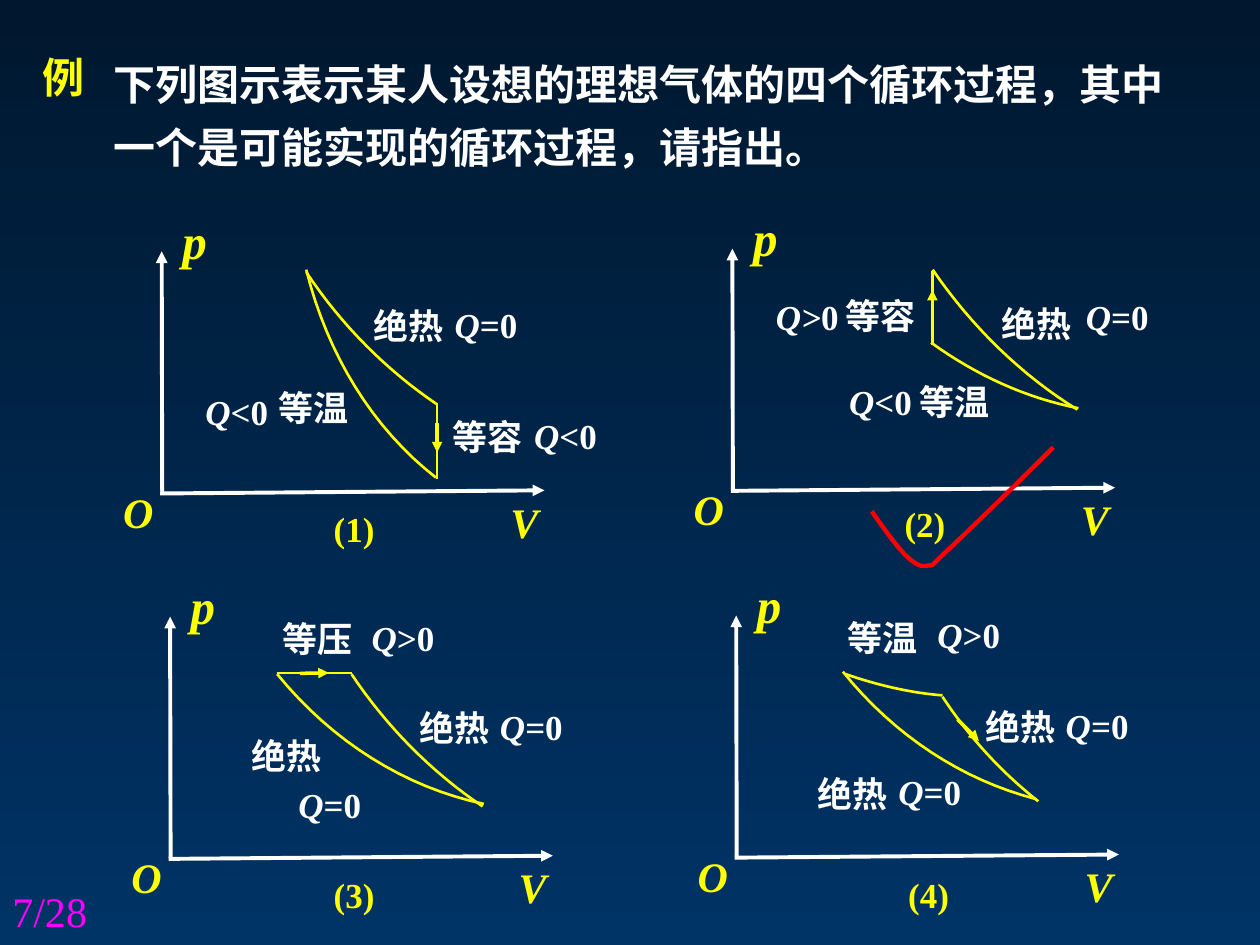
from lxml.etree import SubElement
from pptx import Presentation
from pptx.dml.color import RGBColor
from pptx.enum.shapes import MSO_CONNECTOR
from pptx.oxml.ns import qn
from pptx.util import Pt

WHITE, GOLD, RED, PINK = "FFFFFF", "FFFF00", "FF0000", "FF00FF"
SERIF = "Times New Roman"
STEPS = 16

# Each plot: origin, caption place, curves (four Bezier points each),
# straight side, direction arrow, and labels (x, y, italic part, plain part).
PLOTS = [
    dict(origin=(91.5, 282), caption=(183.6, 286.6),
         curves=[[(249.8, 231.1), (221, 211.7), (195.1, 185.8), (175, 155.5)],
                 [(249.1, 272.9), (213.1, 244.8), (187.2, 203), (175, 154.1)]],
         side=[(249.8, 231.1), (249.8, 273.6)],
         arrow=[(249.8, 241.9), (249.8, 258.5)],
         labels=[(206.6, 170.6, "", "绝热"), (251.3, 234, "", "等容"),
                 (151.9, 217.4, "", "等温"), (252.7, 169.9, "Q", "=0"),
                 (298.1, 233.3, "Q", "<0"), (110.2, 219.6, "Q", "<0")]),
    dict(origin=(417.6, 280.5), caption=(509.8, 283.7),
         curves=[[(615.6, 234), (583.9, 214.6), (555.1, 186.5), (533, 154.1)],
                 [(616.3, 233.3), (586.8, 227.5), (558, 214.6), (532.1, 195.8)]],
         side=[(532.8, 154.8), (532.8, 197.3)],
         arrow=[(532.8, 182.2), (532.8, 165.6)],
         labels=[(565.2, 169.2, "", "绝热"), (475.9, 164.9, "", "等容"),
                 (518.4, 213.8, "", "等温"), (613.4, 165.6, "Q", "=0"),
                 (436.3, 165.6, "Q>", "0"), (478.1, 213.8, "Q", "<0")]),
    dict(origin=(96.3, 490.8), caption=(183.6, 495.4),
         curves=[[(275.8, 460.8), (247, 441.4), (221, 415.4), (200.9, 385.2)],
                 [(276.5, 459.4), (231.8, 450), (190.1, 424.1), (158.4, 385.2)]],
         side=[(158.4, 384.5), (200.9, 384.5)],
         arrow=[(171.4, 384.8), (187.9, 384.5)],
         labels=[(232.6, 400.3, "", "绝热"), (154.1, 349.2, "", "等压"),
                 (278.6, 399.6, "Q", "=0"), (205.2, 348.5, "Q", ">0"),
                 (136.8, 416.2, "", "绝热"), (163.4, 444.2, "Q", "=0")]),
    dict(origin=(419.8, 490.1), caption=(511.9, 495.4),
         curves=[[(593.3, 457.9), (572.4, 441.4), (553.7, 421.2), (538.6, 398.2)],
                 [(591.8, 456.5), (550.1, 445.7), (511.2, 420.5), (481.7, 383.8)],
                 [(538.6, 397.4), (520.6, 396), (501.8, 391.7), (483.1, 385.2)]],
         side=None,
         arrow=[(547.2, 411.1), (559.4, 423.4)],
         labels=[(555.8, 399.6, "", "绝热"), (477.4, 348.5, "", "等温"),
                 (601.9, 398.9, "Q", "=0"), (528.5, 347, "Q", ">0"),
                 (460.1, 437.8, "", "绝热"), (506.2, 437, "Q", "=0")]),
]
TICK = [(498.2, 292.3), (505.4, 302.4), (512.6, 312.5), (517.7, 317.5),
        (523.4, 322.6), (525.6, 324), (529.9, 323.3),
        (534.2, 322.6), (530.6, 324.7), (542.2, 313.9),
        (554.4, 302.4), (578.2, 279.4), (601.9, 255.6)]


def color(code):
    return RGBColor.from_string(code)


def text(slide, box, runs, size, tint, bold=True, font=SERIF, wrap=True, gap=None):
    """Add a text box; runs are (words, italic) pairs."""
    frame = slide.shapes.add_textbox(*map(Pt, box)).text_frame
    frame.word_wrap = wrap
    para = frame.paragraphs[0]
    if gap:
        para.line_spacing = gap
    for words, slant in runs:
        run = para.add_run()
        run.text = words
        run.font.name = font
        run.font.size = Pt(size)
        run.font.bold = bold
        run.font.italic = slant
        run.font.color.rgb = color(tint)


def line(slide, start, end, tint, width, head=False):
    item = slide.shapes.add_connector(
        MSO_CONNECTOR.STRAIGHT, *map(Pt, (*start, *end)))
    item.line.color.rgb = color(tint)
    item.line.width = Pt(width)
    if head:
        SubElement(item.get_or_add_ln(), qn("a:tailEnd"), type="triangle")
    SubElement(item.element.spPr, qn("a:effectLst"))


def bezier(a, b, c, d, t):
    s = 1 - t
    return [Pt(s**3 * p + 3 * s * s * t * q + 3 * s * t * t * r + t**3 * e)
            for p, q, r, e in zip(a, b, c, d)]


def curve(slide, knots, tint, width):
    """Draw an open chain of cubic Bezier arcs that share end points."""
    pen = slide.shapes.build_freeform(*map(Pt, knots[0]))
    for i in range(0, len(knots) - 1, 3):
        pen.add_line_segments(
            [bezier(*knots[i:i + 4], k / STEPS) for k in range(1, STEPS + 1)],
            close=False)
    item = pen.convert_to_shape()
    item.shadow.inherit = False
    item.fill.background()
    item.line.color.rgb = color(tint)
    item.line.width = Pt(width)


def axes(slide, x, y):
    line(slide, (x, y), (x + 219.6, y - 1.8), WHITE, 2.25, True)
    line(slide, (x + 1.2, y - 0.7), (x + 0.9, y - 138.4), WHITE, 2.25, True)
    for name, dx, dy, wide, high, size in [
            ("V", 193, -1.8, 30, 36, 24),
            ("p", 5.6, -165.4, 29, 41, 28),
            ("O", -28.3, -7.6, 32, 36, 24)]:
        text(slide, (x + dx, y + dy, wide, high), [(name, True)],
             size, GOLD, wrap=False)


def plot(slide, index, data):
    axes(slide, *data["origin"])
    for knots in data["curves"]:
        curve(slide, knots, GOLD, 1.5)
    if data["side"]:
        line(slide, *data["side"], GOLD, 1.5)
    line(slide, *data["arrow"], GOLD, 2, True)
    for x, y, slant, plain in data["labels"]:
        runs = [(slant, True)] if slant else []
        text(slide, (x, y, 90, 31), runs + [(plain, False)], 20, WHITE)
    text(slide, (*data["caption"], 86.4, 31), [(f"({index})", False)], 20, GOLD)


def backdrop(slide):
    fill = slide.background.fill
    fill.gradient()
    fill.gradient_angle = 270
    for stop, code in zip(fill.gradient_stops, ("00182F", "003366")):
        stop.color.rgb = color(code)


def main():
    deck = Presentation()
    deck.slide_width, deck.slide_height = Pt(720), Pt(540)
    slide = deck.slides.add_slide(deck.slide_layouts[6])
    backdrop(slide)
    text(slide, (17.3, 25.9, 39, 36), [("例", False)], 24, GOLD,
         font="Arial", wrap=False)
    text(slide, (57.6, 23, 628.6, 79.2),
         [("下列图示表示某人设想的理想气体的四个循环过程，"
           "其中一个是可能实现的循环过程，请指出。", False)],
         24, WHITE, gap=1.25)
    for index, data in enumerate(PLOTS, 1):
        plot(slide, index, data)
    curve(slide, TICK, RED, 2.5)
    text(slide, (0, 502.6, 167.8, 37.4), [("7/28", False)], 24, PINK, bold=False)
    deck.save("out.pptx")


if __name__ == "__main__":
    main()
